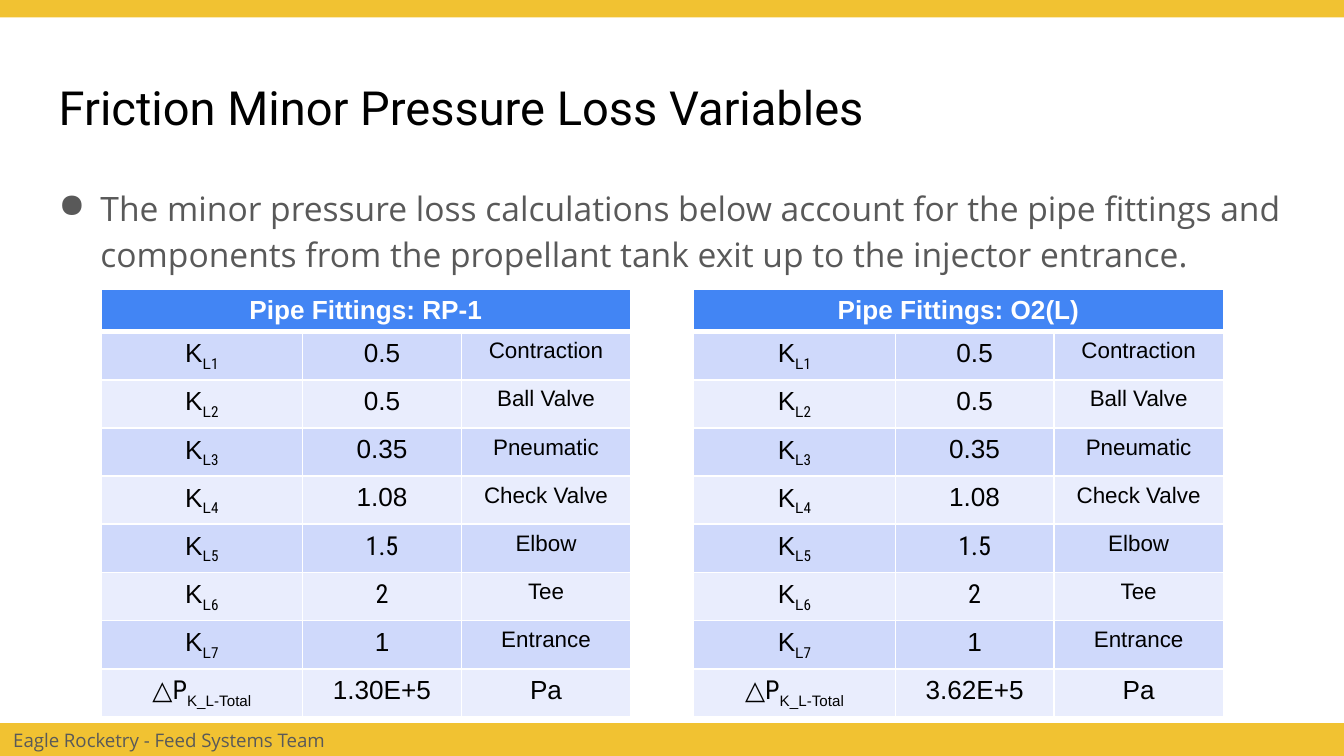
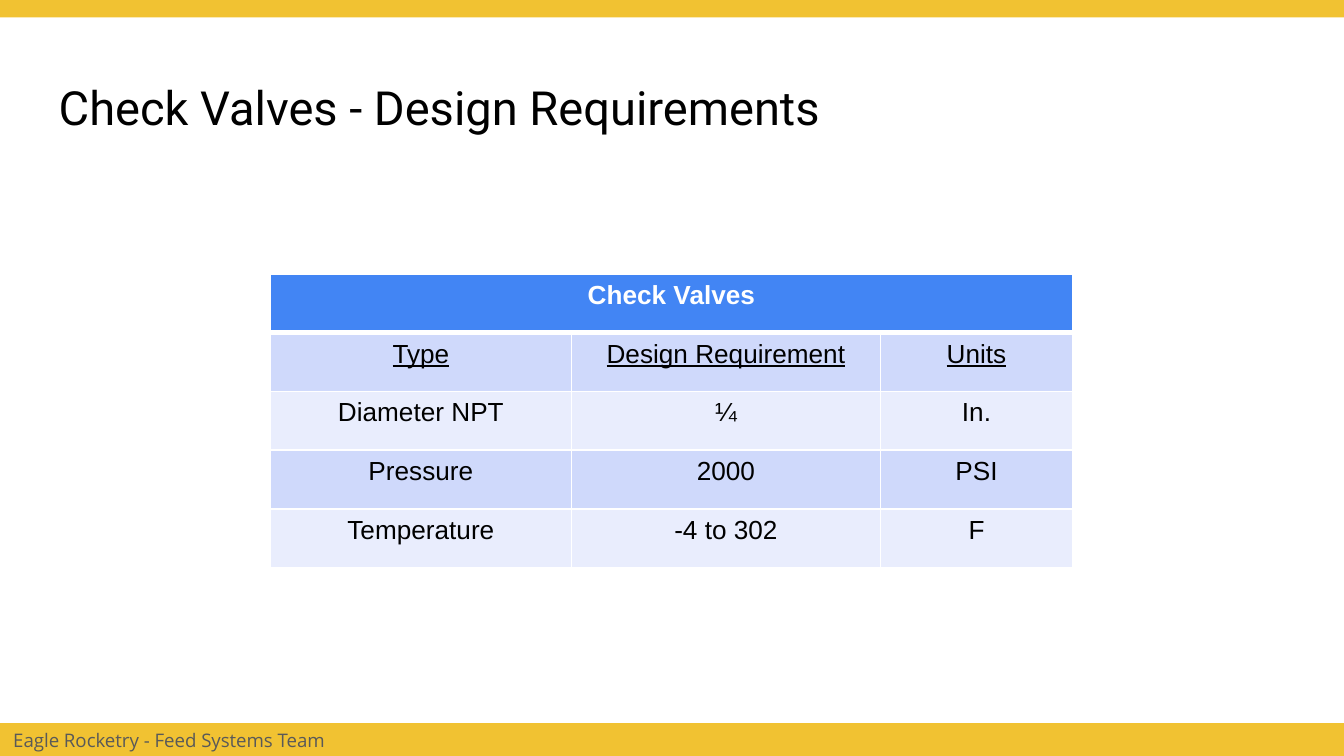
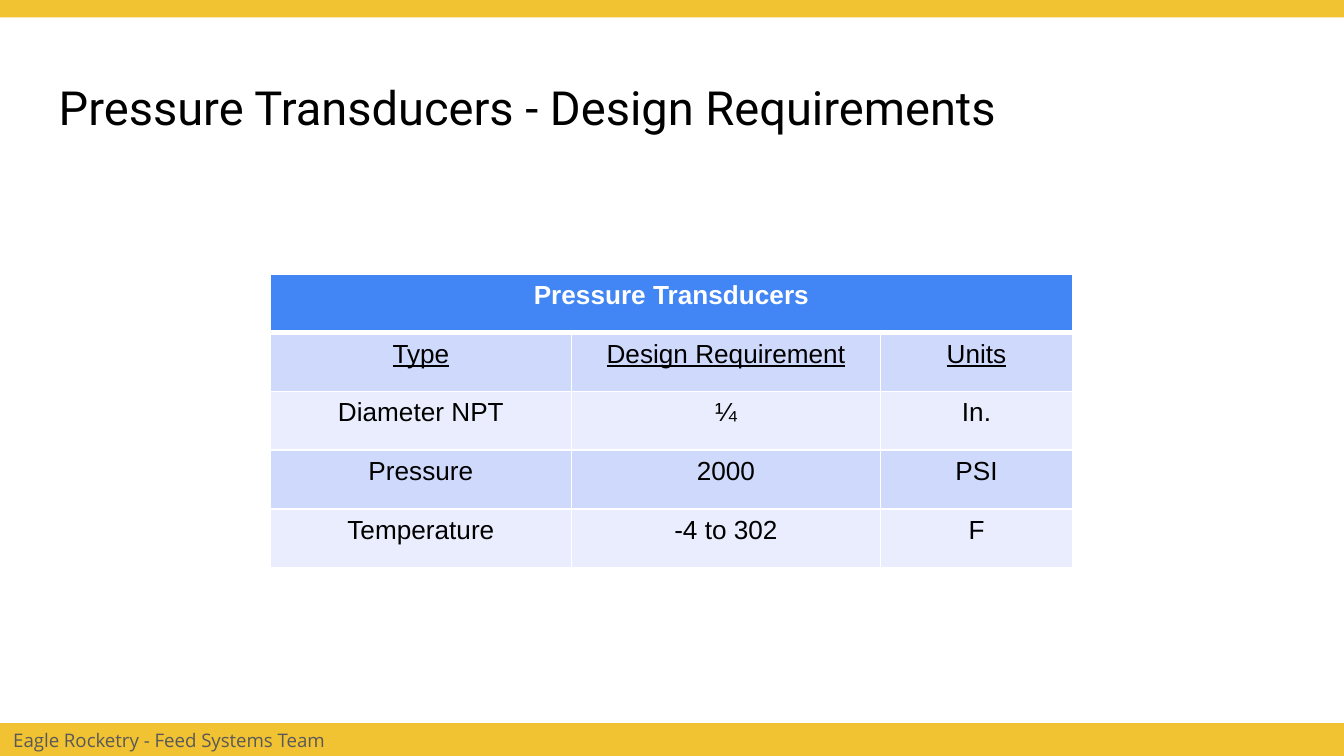
from dataclasses import dataclass

from lxml import etree
from pptx import Presentation
from pptx.dml.color import RGBColor
from pptx.enum.shapes import MSO_SHAPE
from pptx.enum.text import MSO_ANCHOR, MSO_AUTO_SIZE, PP_ALIGN
from pptx.oxml.ns import qn
from pptx.util import Cm, Pt

RECTANGLE = MSO_SHAPE.RECTANGLE
TOP, MIDDLE = MSO_ANCHOR.TOP, MSO_ANCHOR.MIDDLE
LEFT, CENTER = PP_ALIGN.LEFT, PP_ALIGN.CENTER
NO_AUTOFIT = MSO_AUTO_SIZE.NONE
TITLE_ONLY = 5


@dataclass(frozen=True)
class Theme:
    gold: str = "F1C232"
    black: str = "000000"
    gray: str = "595959"
    white: str = "FFFFFF"
    header_blue: str = "4285F4"
    dark_row: str = "CFD9FB"
    light_row: str = "E9EDFD"
    title_font: str = "Roboto"
    body_font: str = "Open Sans"
    table_font: str = "Arial"
    narrow_font: str = "Roboto Condensed"
    title_size: float = 25.2
    body_size: float = 18
    table_size: float = 14
    component_size: float = 12
    footer_size: float = 10
    thin_border: float = 1
    header_border: float = 3


THEME = Theme()
SLIDE_WIDTH, SLIDE_HEIGHT = Cm(25.4), Cm(14.29)
TOP_BAND_HEIGHT, FOOTER_HEIGHT = Cm(0.33), Cm(0.62)
CONTENT_LEFT, CONTENT_WIDTH = Cm(0.86), Cm(23.67)
INSET, BULLET_INDENT = Cm(0.25), Cm(0.79)
FOOTER = "Eagle Rocketry - Feed Systems Team"


@dataclass(frozen=True)
class Run:
    text: str
    font: str = THEME.table_font
    size: float = THEME.table_size
    underline: bool = False
    subscript: bool = False


Cell = tuple[Run, ...]


@dataclass(frozen=True)
class TableSpec:
    heading: str
    rows: list[list[Cell]]
    left: Cm
    top: Cm
    columns: tuple[Cm, ...]
    row_height: Cm


@dataclass(frozen=True)
class Fitting:
    component: str
    coefficient: str
    font: str = THEME.table_font


FITTINGS = [
    Fitting("Contraction", "0.5"),
    Fitting("Ball Valve", "0.5"),
    Fitting("Pneumatic", "0.35"),
    Fitting("Check Valve", "1.08"),
    Fitting("Elbow", "1.5", THEME.narrow_font),
    Fitting("Tee", "2", THEME.narrow_font),
    Fitting("Entrance", "1"),
]
TOTAL_LOSSES = {"RP-1": "1.30E+5", "O2(L)": "3.62E+5"}
REQUIREMENTS = [
    ("Type", "Design Requirement", "Units"),
    ("Diameter NPT", "¼", "In."),
    ("Pressure", "2000", "PSI"),
    ("Temperature", "-4 to 302", "F"),
]


def add_text(paragraph, text: str, *, font: str, size: float, color: str,
             bold: bool = False, underline: bool = False,
             subscript: bool = False, align=LEFT) -> None:
    paragraph.alignment = align
    run = paragraph.add_run()
    run.text = text
    run.font.name = font
    run.font.size = Pt(size)
    run.font.color.rgb = RGBColor.from_string(color)
    run.font.bold = bold
    run.font.underline = underline
    if subscript:
        run._r.get_or_add_rPr().set("baseline", "-25000")


def prepare_frame(frame, anchor=TOP) -> None:
    """Set wrapping, anchor and equal insets on a text frame."""
    frame.word_wrap = True
    frame.auto_size = NO_AUTOFIT
    frame.vertical_anchor = anchor
    frame.margin_left = frame.margin_right = INSET
    frame.margin_top = frame.margin_bottom = INSET


def add_band(slide, top: int, height: int):
    band = slide.shapes.add_shape(RECTANGLE, 0, top, SLIDE_WIDTH, height)
    band.shadow.inherit = False
    band.fill.solid()
    band.fill.fore_color.rgb = RGBColor.from_string(THEME.gold)
    band.line.fill.background()
    return band


def add_titled_slide(deck, title: str):
    """Add a slide with the shared bands, footer and title."""
    slide = deck.slides.add_slide(deck.slide_layouts[TITLE_ONLY])
    footer = add_band(slide, SLIDE_HEIGHT - FOOTER_HEIGHT, FOOTER_HEIGHT)
    prepare_frame(footer.text_frame, MIDDLE)
    add_text(footer.text_frame.paragraphs[0], FOOTER, font=THEME.body_font,
             size=THEME.footer_size, color=THEME.gray)
    add_band(slide, 0, TOP_BAND_HEIGHT)

    heading = slide.shapes.title
    heading.left, heading.top = CONTENT_LEFT, Cm(1.24)
    heading.width, heading.height = CONTENT_WIDTH, Cm(1.6)
    prepare_frame(heading.text_frame)
    add_text(heading.text_frame.paragraphs[0], title, font=THEME.title_font,
             size=THEME.title_size, color=THEME.black)
    return slide


def add_bullet_text(slide, text: str) -> None:
    body = slide.shapes.add_textbox(CONTENT_LEFT, Cm(3.18), CONTENT_WIDTH, Cm(9.5))
    prepare_frame(body.text_frame)
    paragraph = body.text_frame.paragraphs[0]
    properties = paragraph._p.get_or_add_pPr()
    properties.set("marL", str(BULLET_INDENT))
    properties.set("indent", str(-BULLET_INDENT))
    bullet_color = etree.SubElement(properties, qn("a:buClr"))
    etree.SubElement(bullet_color, qn("a:srgbClr"), val=THEME.gray)
    etree.SubElement(properties, qn("a:buChar"), char="●")
    paragraph.line_spacing = 1.15
    add_text(paragraph, text, font=THEME.body_font, size=THEME.body_size,
             color=THEME.gray)


def style_cell(cell, fill: str, top_border: float, bottom_border: float) -> None:
    properties = cell._tc.get_or_add_tcPr()
    borders = {"lnL": THEME.thin_border, "lnR": THEME.thin_border,
               "lnT": top_border, "lnB": bottom_border}
    for side, width in borders.items():
        line = etree.SubElement(properties, qn(f"a:{side}"), w=str(Pt(width)))
        line_fill = etree.SubElement(line, qn("a:solidFill"))
        etree.SubElement(line_fill, qn("a:srgbClr"), val=THEME.white)
    cell.fill.solid()
    cell.fill.fore_color.rgb = RGBColor.from_string(fill)


def add_banded_table(slide, spec: TableSpec) -> None:
    """Add a table with one merged heading row over alternating rows."""
    row_count = len(spec.rows) + 1
    table = slide.shapes.add_table(
        row_count, len(spec.columns), spec.left, spec.top,
        sum(spec.columns), spec.row_height * row_count).table
    for column, width in zip(table.columns, spec.columns):
        column.width = width

    for index, row in enumerate(table.rows):
        row.height = spec.row_height
        if index == 0:
            fill = THEME.header_blue
        else:
            fill = THEME.dark_row if index % 2 else THEME.light_row
        top = THEME.header_border if index == 1 else THEME.thin_border
        bottom = THEME.header_border if index == 0 else THEME.thin_border
        for cell in row.cells:
            style_cell(cell, fill, top, bottom)

    heading = table.cell(0, 0)
    heading.merge(table.cell(0, len(spec.columns) - 1))
    add_text(heading.text_frame.paragraphs[0], spec.heading, font=THEME.table_font,
             size=THEME.table_size, color=THEME.white, bold=True, align=CENTER)
    for row_index, contents in enumerate(spec.rows, start=1):
        for column_index, runs in enumerate(contents):
            paragraph = table.cell(row_index, column_index).text_frame.paragraphs[0]
            for run in runs:
                add_text(paragraph, run.text, font=run.font, size=run.size,
                         color=THEME.black, underline=run.underline,
                         subscript=run.subscript, align=CENTER)


def fitting_rows(total_loss: str) -> list[list[Cell]]:
    rows = [
        [(Run("K"), Run("L", subscript=True),
          Run(str(number), THEME.narrow_font, subscript=True)),
         (Run(fitting.coefficient, fitting.font),),
         (Run(fitting.component, size=THEME.component_size),)]
        for number, fitting in enumerate(FITTINGS, start=1)
    ]
    rows.append([(Run("△P", THEME.narrow_font), Run("K_L-Total", subscript=True)),
                 (Run(total_loss),), (Run("Pa"),)])
    return rows


def add_pressure_loss_slide(deck) -> None:
    slide = add_titled_slide(deck, "Friction Minor Pressure Loss Variables")
    add_bullet_text(slide, "The minor pressure loss calculations below account for "
                           "the pipe fittings and components from the propellant "
                           "tank exit up to the injector entrance.")
    for left, (propellant, loss) in zip((Cm(1.91), Cm(13.11)), TOTAL_LOSSES.items()):
        add_banded_table(slide, TableSpec(
            f"Pipe Fittings: {propellant}", fitting_rows(loss), left, Cm(5.46),
            (Cm(3.81), Cm(3), Cm(3.2)), Cm(0.81)))


def add_requirements_slide(deck, component: str) -> None:
    slide = add_titled_slide(deck, f"{component} - Design Requirements")
    rows = [[(Run(text, underline=index == 0),) for text in row]
            for index, row in enumerate(REQUIREMENTS)]
    add_banded_table(slide, TableSpec(
        component, rows, Cm(5.11), Cm(5.18),
        (Cm(5.69), Cm(5.84), Cm(3.63)), Cm(1.11)))


def main() -> None:
    deck = Presentation()
    deck.slide_width, deck.slide_height = SLIDE_WIDTH, SLIDE_HEIGHT
    add_pressure_loss_slide(deck)
    for component in ("Check Valves", "Pressure Transducers"):
        add_requirements_slide(deck, component)
    deck.save("out.pptx")


if __name__ == "__main__":
    main()
